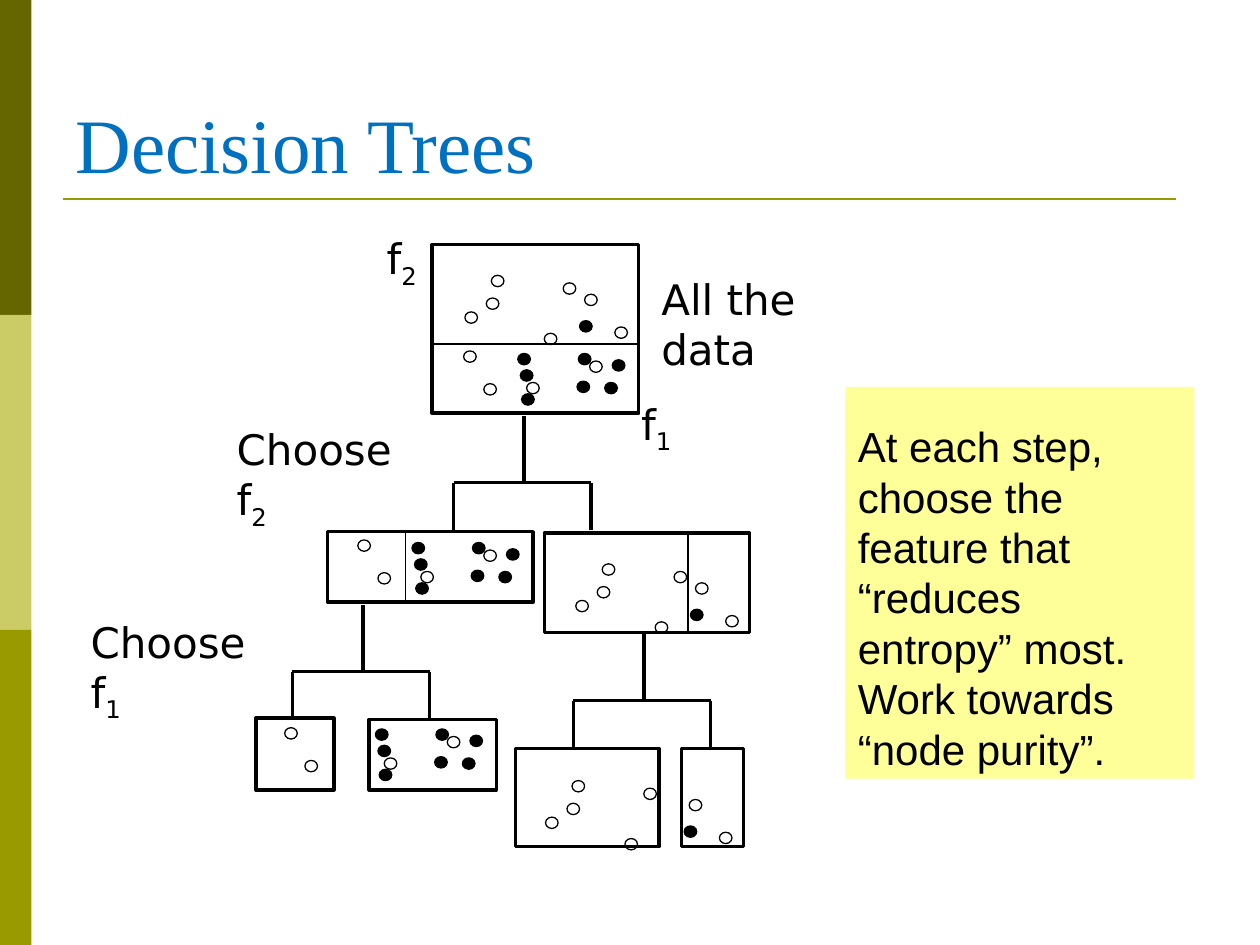
"""Build the Decision Trees slide: a data set split twice into purer nodes."""
from pptx import Presentation
from pptx.dml.color import RGBColor
from pptx.enum.shapes import MSO_CONNECTOR, MSO_SHAPE
from pptx.enum.text import MSO_ANCHOR, MSO_AUTO_SIZE, PP_ALIGN
from pptx.oxml.ns import qn
from pptx.util import Inches, Pt
from lxml import etree

RECT, OVAL = MSO_SHAPE.RECTANGLE, MSO_SHAPE.OVAL
STRAIGHT = MSO_CONNECTOR.STRAIGHT
LEFT, BOTTOM, TOP = PP_ALIGN.LEFT, MSO_ANCHOR.BOTTOM, MSO_ANCHOR.TOP
NO_FIT = MSO_AUTO_SIZE.NONE

BLACK, OLIVE, BLUE, YELLOW = "000000", "999900", "0070C0", "FFFF99"
BARS = ["666600", "CCCC66", OLIVE]
THIN, THICK = 0.75, 2
DOT_W, DOT_H = 0.1, 0.09

TITLE = "Decision Trees"
ADVICE = ("At each step, choose the feature that “reduces entropy” most. "
          "Work towards “node purity”.")
LABELS = [  # text, subscript, font, box
    (ADVICE, "", "Arial", (6.71, 3.29, 2.75, 2.9)),
    ("All the data", "", "DejaVu Sans", (5.15, 2.12, 1.72, 0.9)),
    ("f", "1", "DejaVu Sans", (4.99, 3.11, 0.58, 0.56)),
    ("f", "2", "DejaVu Sans", (2.97, 1.8, 0.58, 0.56)),
    ("Choose f", "2", "DejaVu Sans", (1.78, 3.31, 1.65, 0.96)),
    ("Choose f", "1", "DejaVu Sans", (0.62, 4.84, 1.65, 0.96)),
]

CLUSTERS = {  # dot centres in the root node: (open, filled)
    "upper left": ([(4.52, 2.29), (3.91, 2.41), (3.95, 2.23), (4.37, 2.69), (3.74, 2.52)], []),
    "upper right": ([(4.69, 2.38), (4.93, 2.64)], [(4.65, 2.59)]),
    "lower left": ([(3.73, 2.83), (3.89, 3.09)], []),
    "lower right": ([(4.73, 2.91), (4.23, 3.08)],
                    [(4.64, 2.85), (4.63, 3.07), (4.16, 2.85), (4.18, 2.98),
                     (4.85, 3.08), (4.91, 2.9), (4.19, 3.17)]),
}
NODES = [  # box, thin regions, {cluster: shift from the root}
    ((3.43, 1.94, 1.64, 1.34), [(3.43, 1.94, 1.64, 0.79), (3.43, 2.73, 1.64, 0.55)],
     {name: (0, 0) for name in CLUSTERS}),
    ((2.6, 4.22, 1.63, 0.56), [(2.6, 4.22, 0.62, 0.56), (3.22, 4.22, 1.01, 0.56)],
     {"lower left": (-0.84, 1.5), "lower right": (-0.84, 1.5)}),
    ((4.32, 4.23, 1.63, 0.79), [(4.32, 4.23, 1.14, 0.79), (5.46, 4.23, 0.49, 0.79)],
     {"upper left": (0.88, 2.29), "upper right": (0.88, 2.29)}),
    ((2.03, 5.7, 0.62, 0.57), [], {"lower left": (-1.42, 2.99)}),
    ((2.93, 5.71, 1.01, 0.56), [], {"lower right": (-1.13, 2.98)}),
    ((4.09, 5.94, 1.14, 0.78), [], {"upper left": (0.64, 4.01)}),
    ((5.41, 5.94, 0.49, 0.78), [], {"upper right": (0.83, 4.01)}),
]
FORKS = [(4.16, 3.3), (2.88, 4.8), (5.11, 5.03)]
TRUNK, ARM_LEFT, ARM_RIGHT, DROP = 0.53, 0.56, 0.53, 0.38


def color(value):
    return RGBColor.from_string(value)


def add_shape(s, kind, box, fill=None, line=None, width=THIN):
    sp = s.shapes.add_shape(kind, *map(Inches, box))
    sp.shadow.inherit = False
    if fill:
        sp.fill.solid()
        sp.fill.fore_color.rgb = color(fill)
    else:
        sp.fill.background()
    if line:
        sp.line.color.rgb = color(line)
        sp.line.width = Pt(width)
    else:
        sp.line.fill.background()


def add_line(s, x1, y1, x2, y2, line=BLACK, width=THICK):
    cx = s.shapes.add_connector(STRAIGHT, *map(Inches, (x1, y1, x2, y2)))
    cx.line.color.rgb = color(line)
    cx.line.width = Pt(width)
    etree.SubElement(cx._element.spPr, qn("a:effectLst"))


def add_label(s, text, subscript, font, box):
    tf = s.shapes.add_textbox(*map(Inches, box)).text_frame
    tf.word_wrap = True
    tf.vertical_anchor = TOP
    p = tf.paragraphs[0]
    p.space_before = Pt(15)
    p.font.name, p.font.size = font, Pt(24)
    p.font.color.rgb = color(BLACK)
    p.add_run().text = text
    if subscript:
        r = p.add_run()
        r.text = subscript
        r._r.get_or_add_rPr().set("baseline", "-25000")


def add_title(s):
    sp = s.shapes.title
    sp.left, sp.top, sp.width, sp.height = map(Inches, (0.5, 0.3, 9, 1.25))
    tf = sp.text_frame
    tf.text = TITLE
    tf.auto_size = NO_FIT
    tf.vertical_anchor = BOTTOM
    p = tf.paragraphs[0]
    p.alignment = LEFT
    p.font.name, p.font.size = "Times New Roman", Pt(44)
    p.font.color.rgb = color(BLUE)


def add_node(s, box, regions, clusters):
    for region in regions:
        add_shape(s, RECT, region, line=BLACK)
    for name, (dx, dy) in clusters.items():
        for dots, fill in zip(CLUSTERS[name], (None, BLACK)):
            for x, y in dots:
                place = (x + dx - DOT_W / 2, y + dy - DOT_H / 2, DOT_W, DOT_H)
                add_shape(s, OVAL, place, fill, BLACK)
    add_shape(s, RECT, box, line=BLACK, width=THICK)


def add_fork(s, x, y):
    bar, left, right = y + TRUNK, x - ARM_LEFT, x + ARM_RIGHT
    add_line(s, x, y, x, bar)
    add_line(s, left, bar, right, bar)
    for arm in (left, right):
        add_line(s, arm, bar, arm, bar + DROP)


def main():
    prs = Presentation()
    prs.slide_width, prs.slide_height = Inches(10), Inches(7.5)
    s = prs.slides.add_slide(prs.slide_layouts[5])
    for i, fill in enumerate(BARS):
        add_shape(s, RECT, (0, 2.5 * i, 0.25, 2.5), fill)
    add_line(s, 0.5, 1.58, 9.33, 1.58, OLIVE, 1.5)
    add_title(s)
    add_shape(s, RECT, (6.71, 3.07, 2.77, 3.11), YELLOW)
    for label in LABELS:
        add_label(s, *label)
    for node in NODES:
        add_node(s, *node)
    for fork in FORKS:
        add_fork(s, *fork)
    prs.save("out.pptx")


if __name__ == "__main__":
    main()
